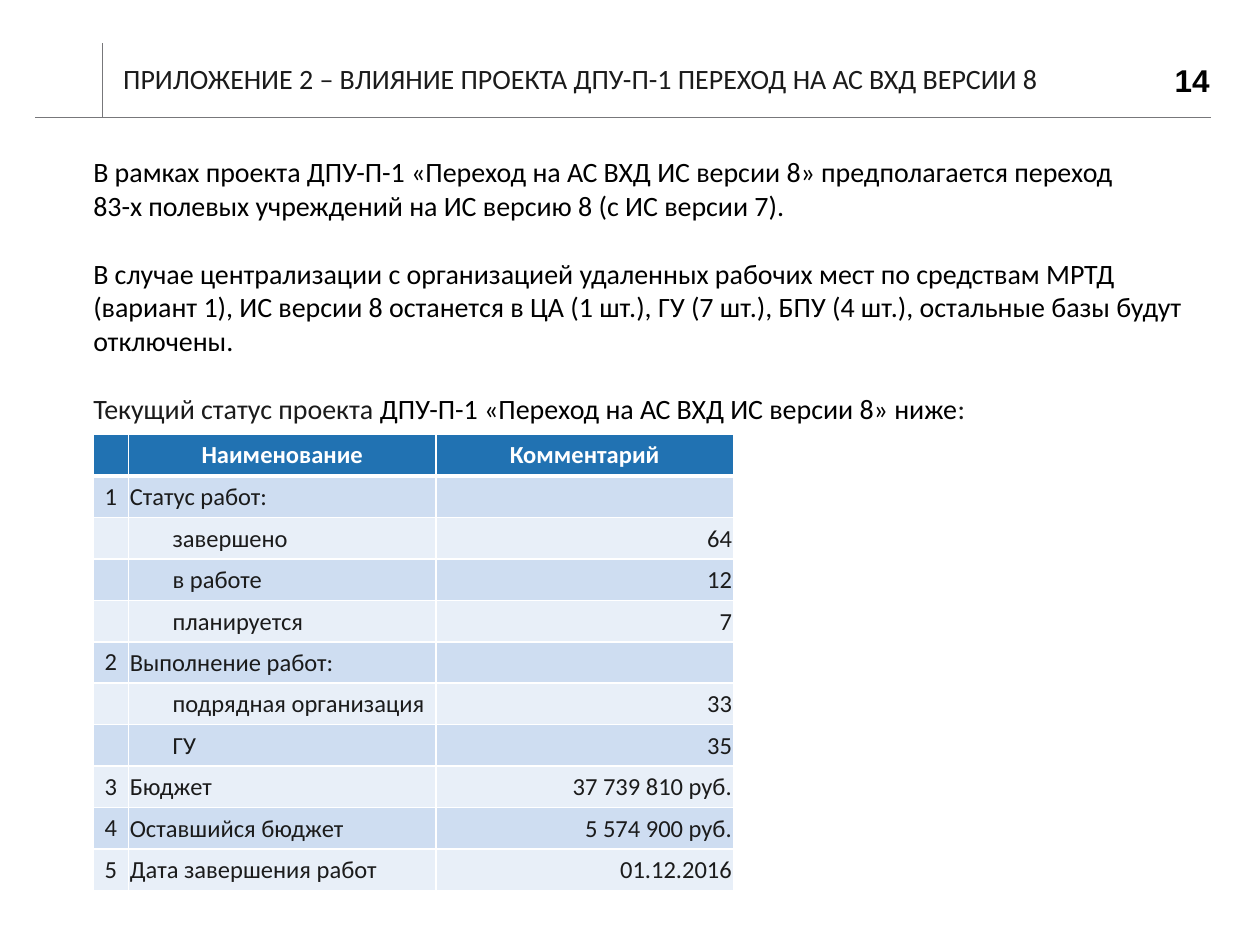
from lxml.etree import SubElement
from pptx import Presentation
from pptx.dml.color import RGBColor
from pptx.enum.shapes import MSO_CONNECTOR
from pptx.enum.text import MSO_ANCHOR, PP_ALIGN
from pptx.oxml.ns import qn
from pptx.util import Emu, Pt

COLUMNS, ROWS = 100, 75
CELL = 91440
INK, BLACK, WHITE, RULE = "1B1B1B", "000000", "FFFFFF", "77777A"
HEADER, BANDS = "2172B2", ("CEDDF1", "E8EFF8")
LEFT, RIGHT, RULE_ROW = 7.4, 96.1, 9.3

TITLE = "ПРИЛОЖЕНИЕ 2 – ВЛИЯНИЕ ПРОЕКТА ДПУ-П-1 ПЕРЕХОД НА АС ВХД ВЕРСИИ 8"
BODY = [
    (0, [("В рамках проекта ДПУ-П-1 «Переход на АС ВХД ИС версии 8» предполагается переход", BLACK)]),
    (0, [("83-х полевых учреждений на ИС версию 8 (с ИС версии 7).", BLACK)]),
    (19.5, [("В случае централизации с организацией удаленных рабочих мест по средствам МРТД "
             "(вариант 1), ИС версии 8 останется в ЦА (1 шт.), ГУ (7 шт.), БПУ (4 шт.), "
             "остальные базы будут отключены.", BLACK)]),
    (19.5, [("Текущий статус проекта ", INK),
            ("ДПУ-П-1 «Переход на АС ВХД ИС версии 8» ниже", BLACK),
            (":", INK)]),
]
STATUS = [
    ("", "Наименование", "Комментарий"),
    ("1", "Статус работ:", ""),
    ("", "завершено", "64"),
    ("", "в работе", "12"),
    ("", "планируется", "7"),
    ("2", "Выполнение работ:", ""),
    ("", "подрядная организация", "33"),
    ("", "ГУ", "35"),
    ("3", "Бюджет", "37 739 810 руб."),
    ("4", "Оставшийся бюджет", "5 574 900 руб."),
    ("5", "Дата завершения работ", "01.12.2016"),
]
STATUS_WIDTHS = (2.8, 24.4, 23.6)
STATUS_ROW = 3.29


def grid(units):
    return Emu(round(units * CELL))


def color(value):
    return RGBColor.from_string(value)


def style(paragraph, size, value=None, bold=False, name="Calibri"):
    font = paragraph.font
    font.name, font.size, font.bold = name, Pt(size), bold
    if value:
        font.color.rgb = color(value)


def set_margins(holder, left, top, right, bottom):
    holder.margin_left, holder.margin_top = grid(left), grid(top)
    holder.margin_right, holder.margin_bottom = grid(right), grid(bottom)


def add_rule(slide, start, end):
    rule = slide.shapes.add_connector(MSO_CONNECTOR.STRAIGHT, *map(grid, start + end))
    rule.line.color.rgb = color(RULE)
    rule.line.width = Pt(0.25)
    SubElement(rule._element.spPr, qn("a:effectLst"))


def add_frame(slide, box, side_margin=0, anchor=MSO_ANCHOR.TOP):
    frame = slide.shapes.add_textbox(*map(grid, box)).text_frame
    frame.word_wrap = True
    frame.vertical_anchor = anchor
    set_margins(frame, side_margin, 0, side_margin, 0)
    return frame


def add_heading(slide):
    title = add_frame(slide, (8.8, 4.4, 81, 3.9), 1, MSO_ANCHOR.MIDDLE).paragraphs[0]
    title.text = TITLE
    title.line_spacing = 0.9
    style(title, 16, INK)
    number = add_frame(slide, (92.1, 3.8, 3.9, 5.1), 0, MSO_ANCHOR.MIDDLE).paragraphs[0]
    number.text = "14"
    number.alignment = PP_ALIGN.RIGHT
    style(number, 18, BLACK, True, "Arial")


def add_body(slide):
    frame = add_frame(slide, (LEFT, 12.3, 87.5, 21.6))
    for index, (gap, parts) in enumerate(BODY):
        paragraph = frame.add_paragraph() if index else frame.paragraphs[0]
        paragraph.space_before = Pt(gap)
        style(paragraph, 16)
        for words, value in parts:
            run = paragraph.add_run()
            run.text = words
            run.font.color.rgb = color(value)


def set_borders(cell, row):
    widths = {"L": 1, "R": 1, "T": 3 if row == 1 else 1, "B": 3 if row == 0 else 1}
    properties = cell._tc.get_or_add_tcPr()
    for side, width in widths.items():
        border = SubElement(properties, qn(f"a:ln{side}"), w=str(Pt(width)))
        fill = SubElement(border, qn("a:solidFill"))
        SubElement(fill, qn("a:srgbClr"), val=WHITE)


def fill_cell(cell, row, column, words, indented):
    is_header = row == 0
    set_borders(cell, row)
    cell.fill.solid()
    cell.fill.fore_color.rgb = color(HEADER if is_header else BANDS[(row - 1) % 2])
    cell.vertical_anchor = MSO_ANCHOR.MIDDLE
    centred = is_header or column == 0
    if centred and words:
        set_margins(cell, 0.9, 0.45, 0.9, 0.45)
    else:
        set_margins(cell, 0.1, 0.1, 0.1, 0)
    paragraph = cell.text_frame.paragraphs[0]
    paragraph.text = words
    paragraph.alignment = PP_ALIGN.CENTER if centred else (PP_ALIGN.LEFT, PP_ALIGN.RIGHT)[column - 1]
    style(paragraph, 14, WHITE if is_header else INK, is_header)
    if indented:
        paragraph.level = 1
        indent = paragraph._p.get_or_add_pPr()
        indent.set("marL", str(grid(3.4)))
        indent.set("indent", "0")


def add_status_table(slide):
    box = (LEFT, 34.5, sum(STATUS_WIDTHS), STATUS_ROW * len(STATUS))
    table = slide.shapes.add_table(len(STATUS), len(STATUS_WIDTHS), *map(grid, box)).table
    for column, width in zip(table.columns, STATUS_WIDTHS):
        column.width = grid(width)
    for row, entry in enumerate(STATUS):
        table.rows[row].height = grid(STATUS_ROW)
        for column, words in enumerate(entry):
            indented = row > 0 and column == 1 and not entry[0]
            fill_cell(table.cell(row, column), row, column, words, indented)


def main():
    deck = Presentation()
    deck.slide_width, deck.slide_height = grid(COLUMNS), grid(ROWS)
    slide = deck.slides.add_slide(deck.slide_layouts[6])
    add_rule(slide, (RIGHT, RULE_ROW), (2.8, RULE_ROW))
    add_rule(slide, (8.1, RULE_ROW), (8.1, 3.4))
    add_heading(slide)
    add_status_table(slide)
    add_body(slide)
    deck.save("out.pptx")


if __name__ == "__main__":
    main()
